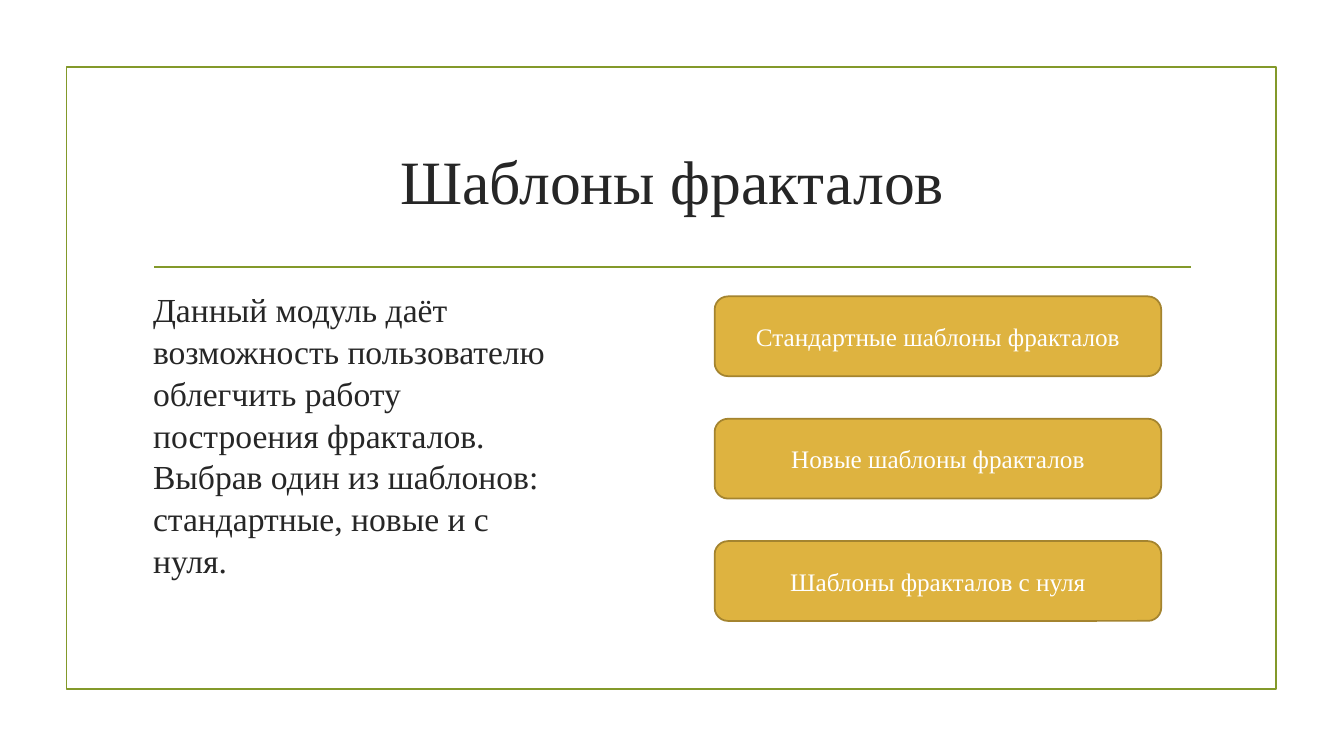
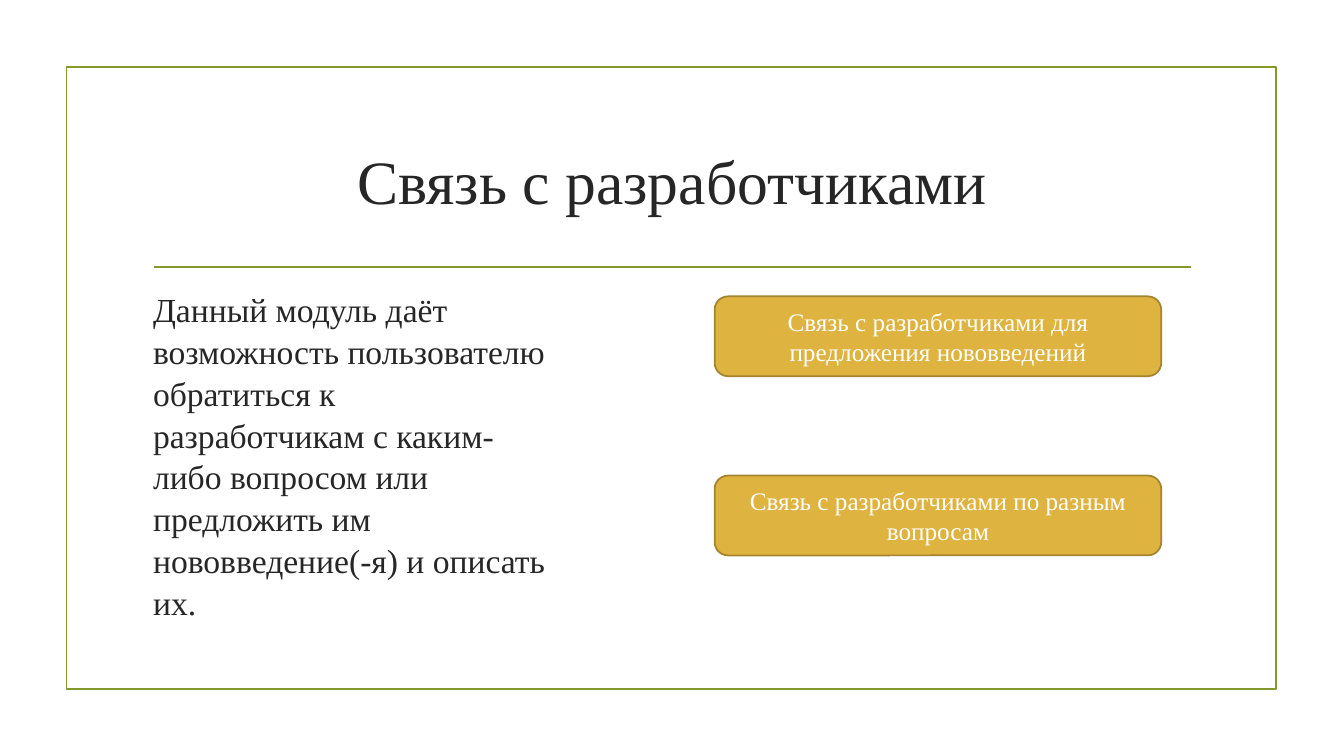
from dataclasses import dataclass

from lxml import etree
from pptx import Presentation
from pptx import util as u
from pptx.dml.color import RGBColor
from pptx.enum import shapes, text
from pptx.oxml import ns


@dataclass(frozen=True)
class Theme:
    font: str = "Times New Roman"
    ink: RGBColor = RGBColor(0x26, 0x26, 0x26)
    olive: RGBColor = RGBColor(0x83, 0x99, 0x2A)
    gold: RGBColor = RGBColor(0xDE, 0xB3, 0x40)
    bronze: RGBColor = RGBColor(0xA4, 0x84, 0x2F)
    white: RGBColor = RGBColor(0xFF, 0xFF, 0xFF)
    title_size: float = 44
    body_size: float = 24
    button_size: float = 18
    line_width: float = 1.25


@dataclass(frozen=True)
class Area:
    left: float
    top: float
    width: float
    height: float

    def lengths(self) -> tuple[u.Length, ...]:
        return tuple(u.Pt(n) for n in (self.left, self.top, self.width, self.height))


@dataclass(frozen=True)
class ModulePage:
    title: str
    description: str
    buttons: tuple[str, ...]
    button_pitch: float


THEME = Theme()
FRAME = Area(47.5, 48, 864, 444)
TITLE = Area(102.25, 77, 756, 103)
BODY = Area(102.25, 201.6, 296, 261)
BUTTON = Area(510.5, 211.7, 319, 57)
RULE_LEFT, RULE_RIGHT, RULE_TOP = 110.2, 850.4, 190.8

PAGES = (
    ModulePage(
        "Шаблоны фракталов",
        "Данный модуль даёт возможность пользователю облегчить работу построения "
        "фракталов. Выбрав один из шаблонов: стандартные, новые и с нуля.",
        ("Стандартные шаблоны фракталов", "Новые шаблоны фракталов", "Шаблоны фракталов с нуля"),
        87.4,
    ),
    ModulePage(
        "Связь с разработчиками",
        "Данный модуль даёт возможность пользователю обратиться к разработчикам с "
        "каким-либо вопросом или предложить им нововведение(-я) и описать их.",
        ("Связь с разработчиками для предложения нововведений",
         "Связь с разработчиками по разным вопросам"),
        128,
    ),
)


def write(box, words: str, size: float, color: RGBColor, align, anchor) -> None:
    frame = box.text_frame
    frame.word_wrap = True
    frame.auto_size = text.MSO_AUTO_SIZE.NONE
    frame.vertical_anchor = anchor
    para = frame.paragraphs[0]
    para.alignment = align
    span = para.add_run()
    span.text = words
    span.font.name = THEME.font
    span.font.size = u.Pt(size)
    span.font.color.rgb = color


def outline(shape, color: RGBColor) -> None:
    shape.line.color.rgb = color
    shape.line.width = u.Pt(THEME.line_width)


def add_border(page) -> None:
    frame = page.shapes.add_shape(shapes.MSO_SHAPE.RECTANGLE, *FRAME.lengths())
    frame.shadow.inherit = False
    frame.fill.background()
    outline(frame, THEME.olive)
    rule = page.shapes.add_connector(
        shapes.MSO_CONNECTOR.STRAIGHT,
        u.Pt(RULE_LEFT), u.Pt(RULE_TOP), u.Pt(RULE_RIGHT), u.Pt(RULE_TOP),
    )
    outline(rule, THEME.olive)
    etree.SubElement(rule.element.spPr, ns.qn("a:effectLst"))


def add_title(page, words: str) -> None:
    title = page.shapes.title
    title.left, title.top, title.width, title.height = TITLE.lengths()
    write(title, words, THEME.title_size, THEME.ink,
          text.PP_ALIGN.CENTER, text.MSO_ANCHOR.MIDDLE)


def add_description(page, words: str) -> None:
    box = page.shapes.add_textbox(*BODY.lengths())
    write(box, words, THEME.body_size, THEME.ink,
          text.PP_ALIGN.LEFT, text.MSO_ANCHOR.TOP)
    box.text_frame.paragraphs[0].line_spacing = 1.04


def add_button(page, words: str, area: Area) -> None:
    button = page.shapes.add_shape(shapes.MSO_SHAPE.ROUNDED_RECTANGLE, *area.lengths())
    button.shadow.inherit = False
    button.fill.solid()
    button.fill.fore_color.rgb = THEME.gold
    outline(button, THEME.bronze)
    write(button, words, THEME.button_size, THEME.white,
          text.PP_ALIGN.CENTER, text.MSO_ANCHOR.MIDDLE)


def add_module_page(deck, content: ModulePage) -> None:
    page = deck.slides.add_slide(deck.slide_layouts.get_by_name("Title Only"))
    add_border(page)
    add_title(page, content.title)
    add_description(page, content.description)
    for index, words in enumerate(content.buttons):
        top = BUTTON.top + index * content.button_pitch
        add_button(page, words, Area(BUTTON.left, top, BUTTON.width, BUTTON.height))


def main() -> None:
    deck = Presentation()
    deck.slide_width, deck.slide_height = u.Pt(960), u.Pt(540)
    for content in PAGES:
        add_module_page(deck, content)
    deck.save("out.pptx")


if __name__ == "__main__":
    main()
